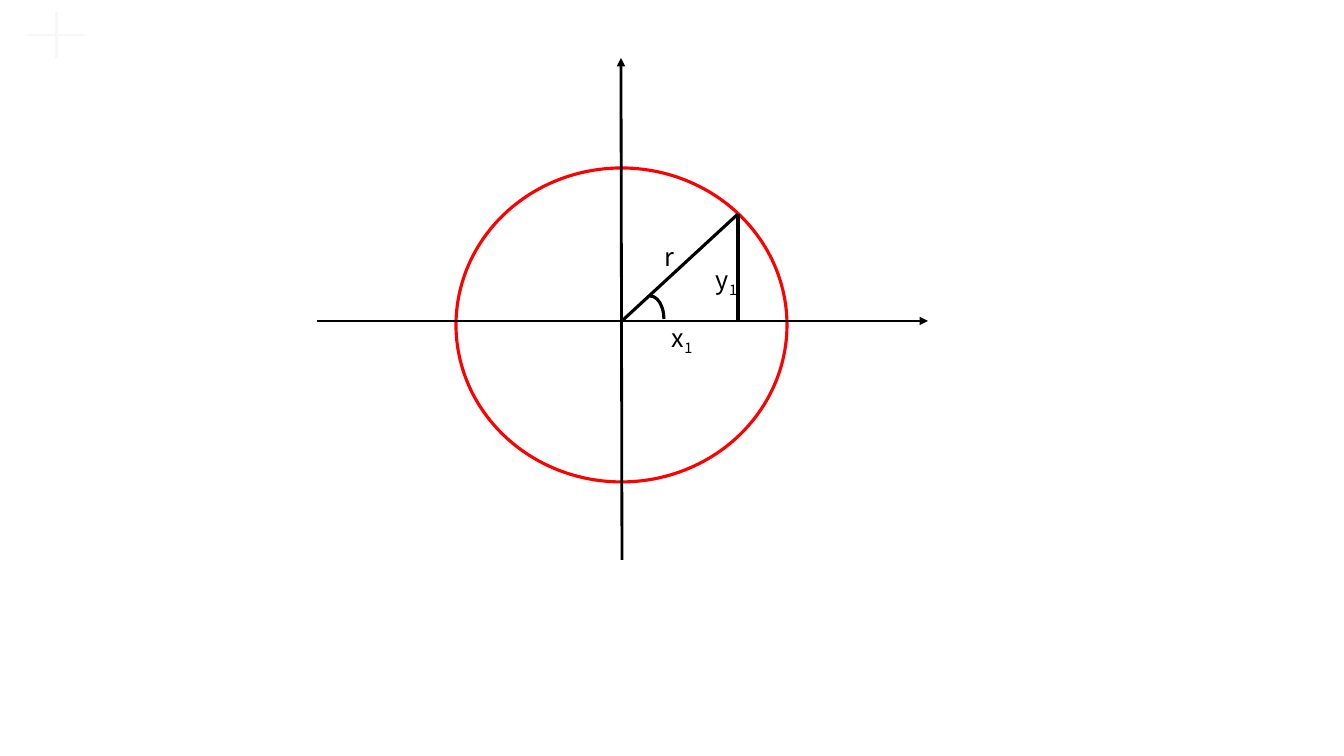
from lxml import etree
from pptx import Presentation
from pptx.dml.color import RGBColor
from pptx.enum.shapes import MSO_CONNECTOR, MSO_SHAPE
from pptx.enum.text import MSO_AUTO_SIZE
from pptx.oxml.ns import qn
from pptx.util import Pt

STRAIGHT = MSO_CONNECTOR.STRAIGHT
OVAL, ARC = MSO_SHAPE.OVAL, MSO_SHAPE.ARC
FIT_SHAPE = MSO_AUTO_SIZE.SHAPE_TO_FIT_TEXT
COLORS = {"paper": "FFFFFF", "ink": "000000", "circle": "FF0000", "mark": "F7F7F7"}
FONT = "Noto Sans CJK SC"
SLIDE_SIZE = (1344, 756)


def px(length):
    """Turn pixels into EMU."""
    return round(length * 914400 / 100.8)


def rgb(name):
    """Look up a named colour."""
    return RGBColor.from_string(COLORS[name])


def add_line(slide, start, end, width=2.25, color="ink", arrow=False):
    """Draw a straight line, with an arrowhead at its end on request."""
    line = slide.shapes.add_connector(STRAIGHT, *map(px, (*start, *end)))
    line.line.color.rgb = rgb(color)
    line.line.width = Pt(width)
    if arrow:
        etree.SubElement(line.line._get_or_add_ln(), qn("a:tailEnd"), type="triangle")
    etree.SubElement(line._element.spPr, qn("a:effectLst"))


def add_curve(slide, kind, box, color, fill=None):
    """Draw an outlined ellipse or arc."""
    shape = slide.shapes.add_shape(kind, *map(px, box))
    shape.shadow.inherit = False
    if fill:
        shape.fill.solid()
        shape.fill.fore_color.rgb = rgb(fill)
    else:
        shape.fill.background()
    shape.line.color.rgb = rgb(color)
    shape.line.width = Pt(2.25)


def add_label(slide, box, letter, subscript=""):
    """Write a variable name with an optional subscript."""
    frame = slide.shapes.add_textbox(*map(px, box)).text_frame
    frame.word_wrap = False
    frame.auto_size = FIT_SHAPE
    frame.margin_right = 0
    paragraph = frame.paragraphs[0]
    paragraph.font.name = FONT
    paragraph.font.size = Pt(18)
    paragraph.font.color.rgb = rgb("ink")
    paragraph.add_run().text = letter
    if subscript:
        run = paragraph.add_run()
        run.text = subscript
        run.font._element.set("baseline", "-25000")


def add_corner_mark(slide, left, top, width, height):
    """Draw the faint cross in the corner."""
    middle, center = top + height / 2, left + width / 2
    add_line(slide, (left, middle), (left + width, middle), 1.5, "mark")
    add_line(slide, (center, top), (center, top + height), 1.5, "mark")


def add_circle_diagram(slide, left, top, width, height):
    """Draw the circle, its axes and the triangle under the radius."""
    def at(x, y):
        return left + x, top + y

    origin, point, foot = at(306, 262), at(421, 156), at(421, 262)
    add_curve(slide, OVAL, (*at(139, 110), 331, 314), "circle", "paper")
    add_line(slide, at(0, 263), at(width, 263), 2, arrow=True)
    add_line(slide, at(305, height), at(304, 0), 2, arrow=True)
    add_line(slide, origin, point)
    add_curve(slide, ARC, (*at(320, 238), 27, 46), "ink")
    add_line(slide, point, foot)
    add_label(slide, (*at(338, 178), 29, 40), "r")
    add_label(slide, (*at(345, 259), 50, 40), "x", "1")
    add_label(slide, (*at(389, 201), 50, 40), "y", "1")


def main():
    """Build and save the presentation."""
    presentation = Presentation()
    presentation.slide_width, presentation.slide_height = map(px, SLIDE_SIZE)
    slide = presentation.slides.add_slide(presentation.slide_layouts[6])
    add_corner_mark(slide, 28, 12, 57, 46)
    add_circle_diagram(slide, 317, 58, 611, 502)
    presentation.save("out.pptx")


main()
